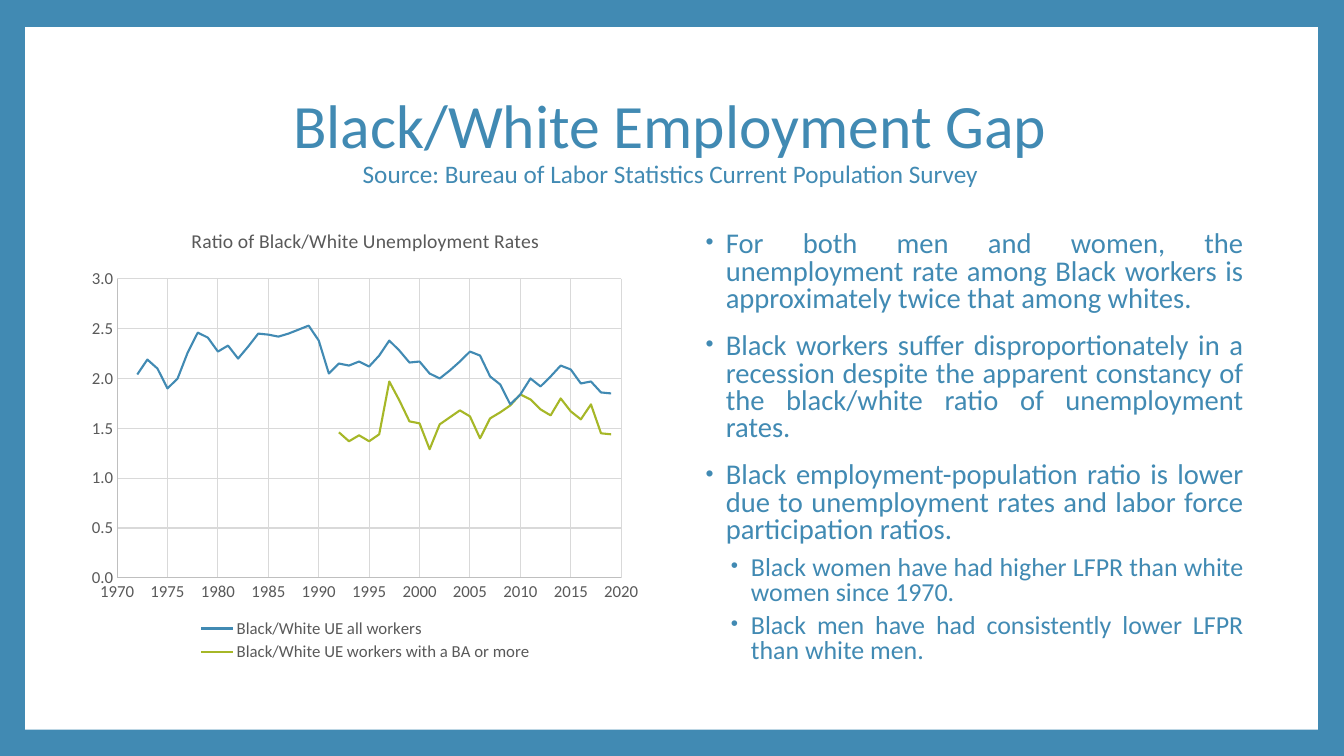
from lxml import etree
from pptx import Presentation
from pptx import util as u
from pptx.chart.data import XyChartData
from pptx.dml.color import RGBColor
from pptx.enum import chart as chart_enum, shapes, text
from pptx.oxml import parse_xml
from pptx.oxml.ns import qn

COLORS = {"blue": "418AB3", "green": "A6B727", "white": "FFFFFF",
          "label": "595959", "axis": "BFBFBF", "grid": "D9D9D9"}
FONT = "Calibri"
CHART_NS = "http://schemas.openxmlformats.org/drawingml/2006/chart"
SERIES = [
    ("Black/White UE all workers", 1972, "blue",
     [2.04, 2.19, 2.1, 1.9, 2, 2.26, 2.46, 2.41, 2.27, 2.33, 2.2, 2.32,
      2.45, 2.44, 2.42, 2.45, 2.49, 2.53, 2.38, 2.05, 2.15, 2.13, 2.17, 2.12,
      2.23, 2.38, 2.28, 2.16, 2.17, 2.05, 2, 2.08, 2.17, 2.27, 2.23, 2.02,
      1.94, 1.74, 1.84, 2, 1.92, 2.02, 2.13, 2.09, 1.95, 1.97, 1.86, 1.85]),
    ("Black/White UE workers with a BA or more", 1992, "green",
     [1.46, 1.37, 1.43, 1.37, 1.44, 1.97, 1.78, 1.57, 1.55, 1.29, 1.54, 1.61,
      1.68, 1.62, 1.4, 1.6, 1.66, 1.73, 1.84, 1.79, 1.69, 1.63, 1.8, 1.67,
      1.59, 1.74, 1.45, 1.44]),
]
LEVELS = {
    0: {"size": 20.4, "indent": 0.25, "before": 14, "after": 0},
    1: {"size": 18.5, "indent": 0.5, "before": 2, "after": 4},
}
POINTS = [
    (0, "For both men and women, the unemployment rate among Black workers is "
        "approximately twice that among whites."),
    (0, "Black workers suffer disproportionately in a recession despite the apparent "
        "constancy of the black/white ratio of unemployment rates."),
    (0, "Black employment-population ratio is lower due to unemployment rates and "
        "labor force participation ratios."),
    (1, "Black women have had higher LFPR than white women since 1970."),
    (1, "Black men have had consistently lower LFPR than white men."),
]


def apply(target, values):
    """Set every attribute of a format dict on the target."""
    for name, value in values.items():
        setattr(target, name, value)


def rgb(name):
    """Return a palette colour."""
    return RGBColor.from_string(COLORS[name])


def style_font(font, size, color):
    """Give a font the slide's typeface, a size and a colour."""
    apply(font, {"name": FONT, "size": u.Pt(size), "bold": False})
    font.color.rgb = rgb(color)


def style_line(line, color, width):
    """Give a line a colour and a width in points."""
    line.color.rgb = rgb(color)
    line.width = u.Pt(width)


def inches(box):
    """Convert a left, top, width, height box to lengths."""
    return [u.Inches(side) for side in box]


def add_frame(slide, box):
    """Fill the background and lay the white panel behind the title."""
    fill = slide.background.fill
    fill.solid()
    fill.fore_color.rgb = rgb("blue")
    panel = slide.shapes.add_shape(shapes.MSO_SHAPE.RECTANGLE, *inches(box))
    panel.shadow.inherit = False
    panel.fill.solid()
    panel.fill.fore_color.rgb = rgb("white")
    panel.line.fill.background()
    slide.shapes.title.element.addprevious(panel.element)


def add_heading(slide, box):
    """Write the title and its source line in the title placeholder."""
    title = slide.shapes.title
    apply(title, dict(zip(("left", "top", "width", "height"), inches(box))))
    frame = title.text_frame
    apply(frame, {"word_wrap": True, "auto_size": text.MSO_AUTO_SIZE.NONE,
                  "vertical_anchor": text.MSO_ANCHOR.MIDDLE})
    paragraph = frame.paragraphs[0]
    apply(paragraph, {"alignment": text.PP_ALIGN.CENTER, "line_spacing": 0.9})
    heading = paragraph.add_run()
    heading.text = "Black/White Employment Gap"
    style_font(heading.font, 44, "blue")
    paragraph.add_line_break()
    source = paragraph.add_run()
    source.text = "Source: Bureau of Labor Statistics Current Population Survey"
    style_font(source.font, 18, "blue")


def set_bullet(paragraph, indent):
    """Give a paragraph a hanging round bullet."""
    properties = paragraph._p.get_or_add_pPr()
    properties.set("marL", str(u.Inches(indent)))
    properties.set("indent", str(u.Inches(-0.2)))
    color = etree.SubElement(properties, qn("a:buClr"))
    etree.SubElement(color, qn("a:srgbClr"), val=COLORS["blue"])
    etree.SubElement(properties, qn("a:buSzPct"), val="80000")
    etree.SubElement(properties, qn("a:buFont"), typeface="Arial")
    etree.SubElement(properties, qn("a:buChar"), char="•")


def add_points(slide, box):
    """Write the justified two-level bullet list."""
    frame = slide.shapes.add_textbox(*inches(box)).text_frame
    frame.word_wrap = True
    for index, (level, words) in enumerate(POINTS):
        paragraph = frame.add_paragraph() if index else frame.paragraphs[0]
        look = LEVELS[level]
        opens_sublist = level == 0 and POINTS[index + 1][0] == 1
        apply(paragraph, {"alignment": text.PP_ALIGN.JUSTIFY, "level": level,
                          "line_spacing": 0.8, "space_before": u.Pt(look["before"]),
                          "space_after": u.Pt(6 if opens_sublist else look["after"])})
        set_bullet(paragraph, look["indent"])
        run = paragraph.add_run()
        run.text = words
        style_font(run.font, look["size"], "blue")


def layout_xml(x, y, width, height, inner=False):
    """Return a chart layout given as shares of the chart's size."""
    target = '<c:layoutTarget val="inner"/>' if inner else ""
    return parse_xml(
        f'<c:layout xmlns:c="{CHART_NS}"><c:manualLayout>{target}'
        '<c:xMode val="edge"/><c:yMode val="edge"/>'
        f'<c:x val="{x}"/><c:y val="{y}"/><c:w val="{width}"/><c:h val="{height}"/>'
        '</c:manualLayout></c:layout>')


def place_chart_parts(chart):
    """Fix the places of the plot area and the legend."""
    plot_area = chart._chartSpace.chart.plotArea
    for layout in plot_area.findall(qn("c:layout")):
        plot_area.remove(layout)
    plot_area.insert(0, layout_xml(0.064, 0.152, 0.885, 0.648, inner=True))
    legend = chart.legend._element
    for layout in legend.findall(qn("c:layout")):
        legend.remove(layout)
    legend.find(qn("c:legendPos")).addnext(layout_xml(0.2, 0.88, 0.6, 0.11))


def style_axis(axis, scale, number_format):
    """Set an axis's scale, grid, line and labels."""
    apply(axis, dict(scale, has_major_gridlines=True,
                     major_tick_mark=chart_enum.XL_TICK_MARK.NONE,
                     minor_tick_mark=chart_enum.XL_TICK_MARK.NONE))
    apply(axis.tick_labels, {"number_format": number_format,
                             "number_format_is_linked": False})
    style_font(axis.tick_labels.font, 12, "label")
    style_line(axis.format.line, "axis", 0.75)
    style_line(axis.major_gridlines.format.line, "grid", 0.75)


def add_ratio_chart(slide, box):
    """Draw the smooth scatter chart of unemployment ratios by year."""
    data = XyChartData()
    for name, first_year, _, ratios in SERIES:
        series = data.add_series(name)
        for year, ratio in enumerate(ratios, first_year):
            series.add_data_point(year, ratio)
    kind = chart_enum.XL_CHART_TYPE.XY_SCATTER_SMOOTH_NO_MARKERS
    chart = slide.shapes.add_chart(kind, *inches(box), data).chart
    style_font(chart.font, 12, "label")
    apply(chart, {"has_title": True, "has_legend": True})
    title = chart.chart_title.text_frame
    title.text = "Ratio of Black/White Unemployment Rates"
    style_font(title.paragraphs[0].runs[0].font, 14, "label")
    apply(chart.legend, {"position": chart_enum.XL_LEGEND_POSITION.BOTTOM,
                         "include_in_layout": False})
    style_font(chart.legend.font, 12, "label")
    style_axis(chart.category_axis, {"minimum_scale": 1970, "maximum_scale": 2020,
                                     "major_unit": 5}, "0")
    style_axis(chart.value_axis, {"minimum_scale": 0, "maximum_scale": 3,
                                  "major_unit": 0.5}, "0.0")
    plot = chart.plots[0]
    plot.vary_by_categories = False
    for series, (_, _, color, _) in zip(plot.series, SERIES):
        series.smooth = True
        series.marker.style = chart_enum.XL_MARKER_STYLE.NONE
        style_line(series.format.line, color, 1.5)
    place_chart_parts(chart)


def main():
    """Build and save the slide."""
    presentation = Presentation()
    apply(presentation, {"slide_width": u.Inches(13.33), "slide_height": u.Inches(7.5)})
    slide = presentation.slides.add_slide(presentation.slide_layouts[5])
    add_frame(slide, (0.25, 0.27, 12.82, 6.97))
    add_heading(slide, (1.25, 0.67, 10.8, 1.48))
    add_points(slide, (6.85, 2.25, 5.58, 4.58))
    add_ratio_chart(slide, (0.8, 2.07, 5.65, 4.58))
    presentation.save("out.pptx")


if __name__ == "__main__":
    main()
